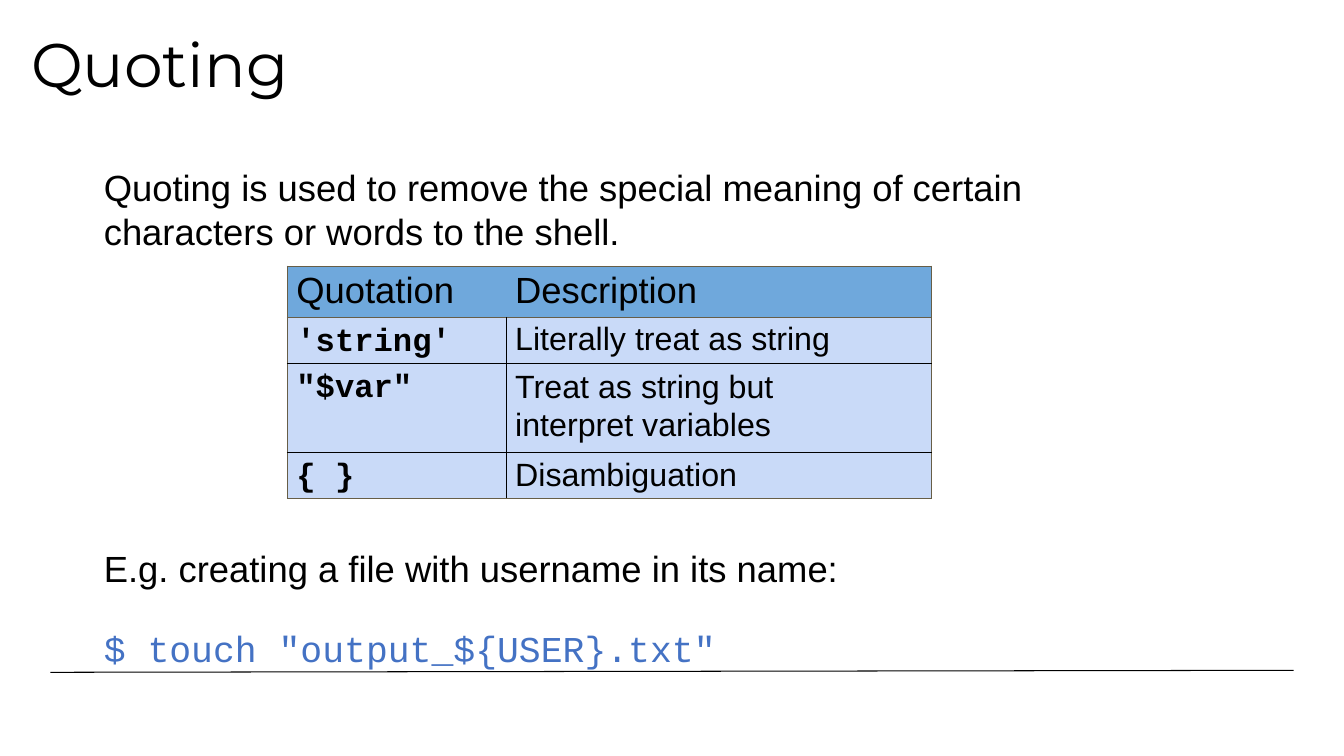
from lxml import etree
from pptx import Presentation
from pptx.dml.color import RGBColor
from pptx.enum import shapes, text
from pptx.oxml import ns
from pptx.util import Inches, Pt

# Content
BLACK, BROWN, BLUE = "000000", "675E47", "4472C4"
HEADER_FILL, BODY_FILL = "6FA8DC", "C9DAF8"
SANS, MONO, DISPLAY = "Arial", "Courier New", "Montserrat"

BOXES = [  # left, top, width, height, top inset, anchor, paragraphs
    (0.28, 0.21, 2.96, 0.78, 0.04, text.MSO_ANCHOR.MIDDLE,
     [("Quoting", DISPLAY, 44, BLACK, {})]),
    (1, 1.6, 10.07, 0.91, 0.02, text.MSO_ANCHOR.TOP,
     [("Quoting is used to remove the special meaning of certain characters "
       "or words to the shell.", SANS, 26, BLACK, {"line_spacing": 1.03})]),
    (1, 5.39, 8.25, 1.21, 0.03, text.MSO_ANCHOR.TOP,
     [("E.g. creating a file with username in its name:", SANS, 26, BLACK, {}),
      ('$ touch "output_${USER}.txt"', MONO, 26, BLUE,
       {"space_before": Pt(26)})]),
]
QUOTATIONS = [
    ("Quotation", "Description"),
    ("'string'", "Literally treat as string"),
    ('"$var"', "Treat as string but\vinterpret variables"),
    ("{ }", "Disambiguation"),
]
COLUMN_WIDTHS = [2.17, 4.22]
ROW_HEIGHTS = [0.51, 0.45, 0.89, 0.45]
TABLE_LEFT, TABLE_TOP = 2.85, 2.64
RULE = (0.5, 6.67, 12.83, 6.65)


def color(value):
    return RGBColor.from_string(value)


def apply(target, values):
    for name, value in values.items():
        setattr(target, name, value)


def write(para, words, face, size, ink, bold=False):
    para.text = words
    apply(para.font, {"name": face, "size": Pt(size), "bold": bold})
    para.font.color.rgb = color(ink)


def add_border(cell, side, ink):
    line = etree.SubElement(cell._tc.get_or_add_tcPr(),
                            ns.qn(f"a:ln{side}"), w=str(Pt(0.75)))
    if ink is None:
        etree.SubElement(line, ns.qn("a:noFill"))
    else:
        fill = etree.SubElement(line, ns.qn("a:solidFill"))
        etree.SubElement(fill, ns.qn("a:srgbClr"), val=ink)


deck = Presentation()
apply(deck, {"slide_width": Inches(13.33), "slide_height": Inches(7.5)})
page = deck.slides.add_slide(deck.slide_layouts[6])

# Footer rule
rule = page.shapes.add_connector(shapes.MSO_CONNECTOR.STRAIGHT,
                                 *map(Inches, RULE))
rule.line.color.rgb = color(BLACK)
rule.line.width = Pt(0.75)
etree.SubElement(rule._element.spPr, ns.qn("a:effectLst"))

# Title and running text
for left, top, width, height, inset, anchor, paragraphs in BOXES:
    box = page.shapes.add_textbox(*map(Inches, (left, top, width, height)))
    frame = box.text_frame
    apply(frame, {"word_wrap": True, "vertical_anchor": anchor,
                  "margin_left": Inches(0.03), "margin_top": Inches(inset),
                  "margin_right": 0, "margin_bottom": 0})
    for index, (words, face, size, ink, spacing) in enumerate(paragraphs):
        para = frame.add_paragraph() if index else frame.paragraphs[0]
        write(para, words, face, size, ink)
        apply(para, spacing)

# Quotation table
last_row, last_column = len(ROW_HEIGHTS) - 1, len(COLUMN_WIDTHS) - 1
table = page.shapes.add_table(
    len(ROW_HEIGHTS), len(COLUMN_WIDTHS), Inches(TABLE_LEFT),
    Inches(TABLE_TOP), Inches(sum(COLUMN_WIDTHS)),
    Inches(sum(ROW_HEIGHTS))).table
for column, width in zip(table.columns, COLUMN_WIDTHS):
    column.width = Inches(width)
for row, height in zip(table.rows, ROW_HEIGHTS):
    row.height = Inches(height)

for r, entries in enumerate(QUOTATIONS):
    header = r == 0
    divider = None if header else BLACK
    for c, words in enumerate(entries):
        cell = table.cell(r, c)
        code = c == 0 and not header
        apply(cell, {"margin_left": Inches(0.09), "margin_right": 0,
                     "margin_top": Inches(0.07 if code else 0.04),
                     "margin_bottom": 0,
                     "vertical_anchor": text.MSO_ANCHOR.TOP})
        write(cell.text_frame.paragraphs[0], words, MONO if code else SANS,
              26 if header else 23, BLACK, bold=code)
        cell.text_frame.paragraphs[0].line_spacing = 1.05 if "\v" in words else 1.0
        # Brown frame and header edge, black inner lines
        add_border(cell, "L", BROWN if c == 0 else divider)
        add_border(cell, "R", BROWN if c == last_column else divider)
        add_border(cell, "T", BROWN if r <= 1 else BLACK)
        add_border(cell, "B", BROWN if r in (0, last_row) else BLACK)
        cell.fill.solid()
        cell.fill.fore_color.rgb = color(HEADER_FILL if header else BODY_FILL)

deck.save("out.pptx")
